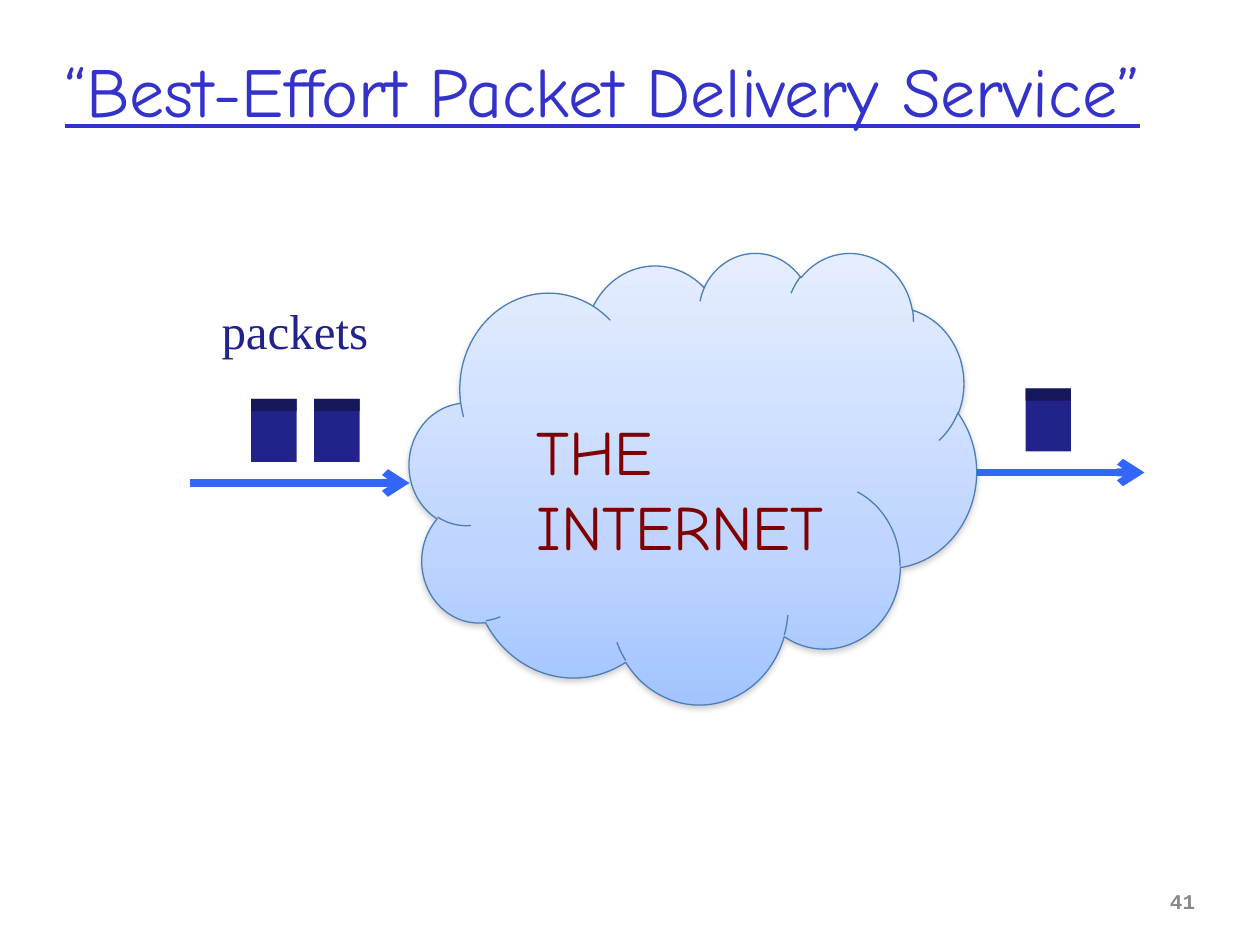
from copy import deepcopy
from dataclasses import dataclass

from lxml import etree
from pptx import Presentation
from pptx.dml.color import RGBColor
from pptx.enum import shapes, text
from pptx.oxml import parse_xml
from pptx.oxml.ns import nsdecls, qn
from pptx.util import Pt


@dataclass(frozen=True)
class Theme:
    title: str = "3333CC"
    arrow: str = "3366FF"
    packet: str = "22228B"
    packet_header: str = "17175C"
    cloud_line: str = "4A7EBB"
    cloud_stops: tuple = ((0, "E5EEFF"), (0.65, "BFD5FF"), (1, "A3C4FF"))
    cloud_text: str = "800000"
    number: str = "898989"
    hand_font: str = "Comic Neue"
    label_font: str = "Times New Roman"
    number_font: str = "Courier New"
    title_size: int = 40
    cloud_size: int = 36
    label_size: int = 28
    number_size: int = 12


T = Theme()
PACKET_W, PACKET_H, HEADER_H = 26, 36, 7


def rgb(value):
    return RGBColor.from_string(value)


def style(p, name, size, color):
    p.font.name = name
    p.font.size = Pt(size)
    p.font.color.rgb = rgb(color)


def add_label(s, box, label, name, size, color, wrap=True):
    tf = s.shapes.add_textbox(*map(Pt, box)).text_frame
    tf.word_wrap = wrap
    tf.text = label
    style(tf.paragraphs[0], name, size, color)
    return tf


def add_title(s, box):
    tf = add_label(s, box, "“Best-Effort Packet Delivery Service”",
                   T.hand_font, T.title_size, T.title)
    tf.vertical_anchor = text.MSO_ANCHOR.MIDDLE
    tf.paragraphs[0].font.underline = True


def add_number(s, box):
    tf = add_label(s, box, "41", T.number_font, T.number_size, T.number)
    p = tf.paragraphs[0]
    p.alignment = text.PP_ALIGN.RIGHT
    p.font.bold = True


def add_arrow(s, x1, x2, y):
    c = s.shapes.add_connector(shapes.MSO_CONNECTOR.STRAIGHT,
                               Pt(x1), Pt(y), Pt(x2), Pt(y))
    c.line.color.rgb = rgb(T.arrow)
    c.line.width = Pt(4.5)
    etree.SubElement(c.line._get_or_add_ln(), qn("a:tailEnd"), type="arrow")
    etree.SubElement(c._element.spPr, qn("a:effectLst"))


def add_packet(s, left, top):
    group = s.shapes.add_group_shape()
    for height, color in ((PACKET_H, T.packet), (HEADER_H, T.packet_header)):
        sp = group.shapes.add_shape(shapes.MSO_SHAPE.RECTANGLE, Pt(left), Pt(top),
                                    Pt(PACKET_W), Pt(height))
        sp.shadow.inherit = False
        sp.fill.solid()
        sp.fill.fore_color.rgb = rgb(color)
        sp.line.fill.background()


def fill_cloud(sp):
    sp.fill.gradient()
    sp.fill.gradient_angle = 270
    stops = sp._element.spPr.find(".//" + qn("a:gsLst"))
    stops.append(deepcopy(stops[-1]))
    for stop, (position, color) in zip(sp.fill.gradient_stops, T.cloud_stops):
        stop.position = position
        stop.color.rgb = rgb(color)


def add_cloud(s, box):
    sp = s.shapes.add_shape(shapes.MSO_SHAPE.CLOUD, *map(Pt, box))
    fill_cloud(sp)
    sp.line.color.rgb = rgb(T.cloud_line)
    sp.line.width = Pt(0.75)
    sp._element.spPr.append(parse_xml(
        f'<a:effectLst {nsdecls("a")}>'
        f'<a:outerShdw blurRad="{Pt(3.1)}" dist="{Pt(1.6)}" dir="5400000" rotWithShape="0">'
        '<a:srgbClr val="808080"><a:alpha val="38000"/></a:srgbClr>'
        '</a:outerShdw></a:effectLst>'))
    tf = sp.text_frame
    tf.word_wrap = True
    tf.vertical_anchor = text.MSO_ANCHOR.MIDDLE
    tf.margin_left, tf.margin_top = Pt(28), Pt(27)
    tf.text = "THE\nINTERNET"
    for p in tf.paragraphs:
        p.alignment = text.PP_ALIGN.LEFT
        style(p, T.hand_font, T.cloud_size, T.cloud_text)


def add_sender(s, left, top, width):
    add_label(s, (left + 11, top, 106, 41), "packets",
              T.label_font, T.label_size, T.packet, wrap=False)
    for i in range(2):
        add_packet(s, left + 35 + 36 * i, top + 60)
    add_arrow(s, left, left + width, top + 108)


def add_receiver(s, left, top, width):
    add_packet(s, left + 28, top)
    add_arrow(s, left, left + width, top + 48)


def main():
    prs = Presentation()
    prs.slide_width, prs.slide_height = Pt(720), Pt(540)
    s = prs.slides.add_slide(prs.slide_layouts[6])
    add_title(s, (30, 6, 666, 90))
    add_number(s, (654, 504, 36, 36))
    add_cloud(s, (234, 144, 324, 258))
    add_sender(s, 108.5, 168, 125.5)
    add_receiver(s, 558, 222, 96)
    prs.save("out.pptx")


if __name__ == "__main__":
    main()
